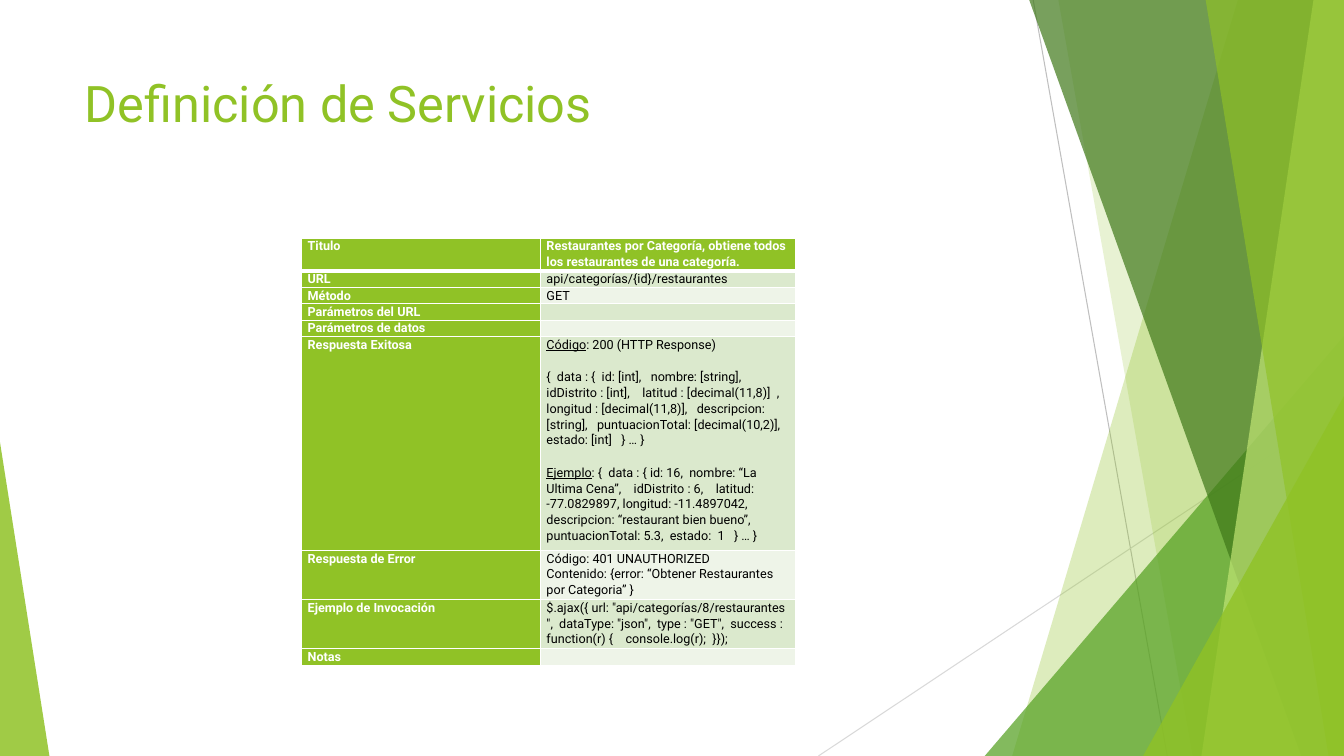
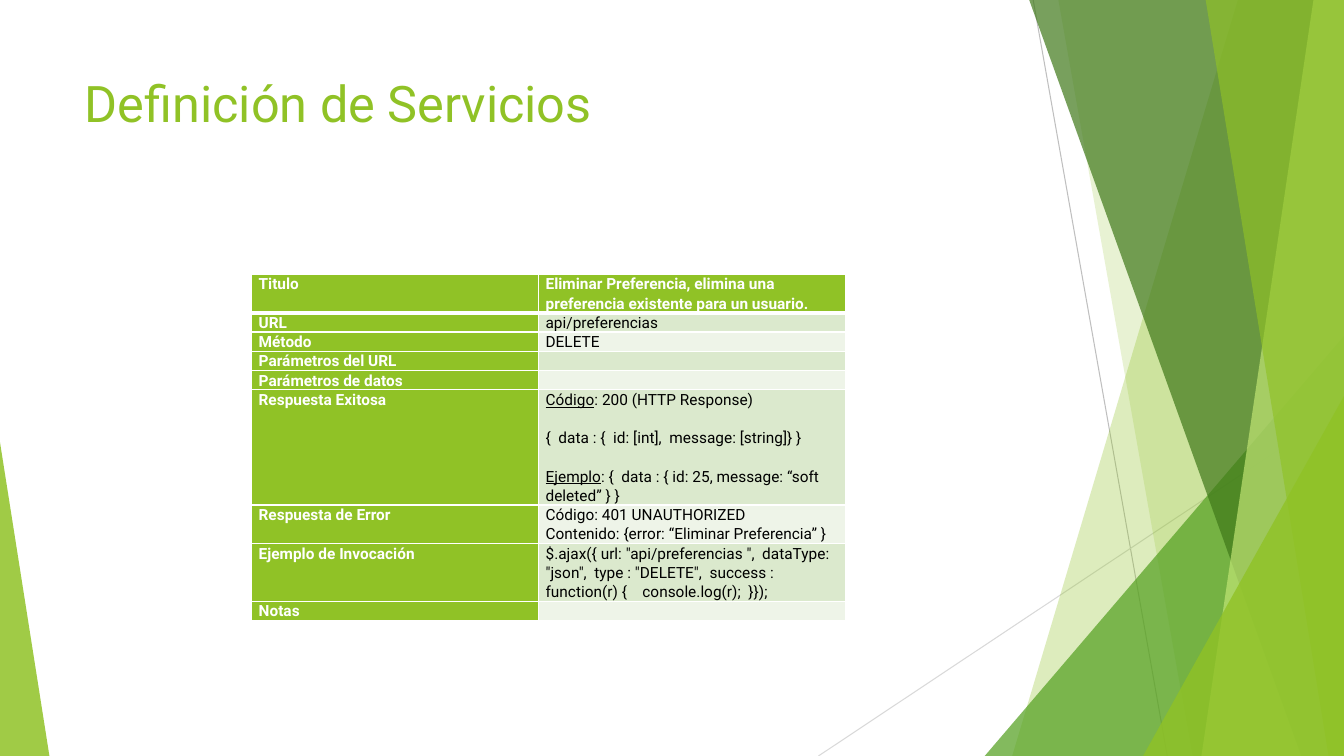
from dataclasses import dataclass

from lxml import etree
from pptx import Presentation
from pptx.dml.color import RGBColor
from pptx.enum.shapes import MSO_CONNECTOR as Connector, MSO_SHAPE as Shape
from pptx.enum.text import MSO_ANCHOR as Anchor, PP_ALIGN as Align
from pptx.oxml.ns import qn
from pptx.util import Pt


@dataclass(frozen=True)
class Theme:
    font: str = "Roboto"
    title_size: float = 36
    line_spacing: float = 1.07
    green: str = "90C226"
    leaf: str = "54A021"
    forest: str = "3F7819"
    lime: str = "C0E474"
    band_dark: str = "DBE9CD"
    band_light: str = "EEF4E8"
    white: str = "FFFFFF"
    black: str = "000000"
    gray: str = "BFBFBF"
    pale_gray: str = "D9D9D9"


@dataclass(frozen=True)
class TableStyle:
    left: float
    top: float
    columns: tuple
    size: float
    pitch: float  # height of one line of text
    inset: float


@dataclass(frozen=True)
class Service:
    """Cell texts are lists of paragraphs; a pair is an underlined label and its text."""
    title: str
    url: str
    method: str
    success: list
    error: list
    call: str
    line_counts: tuple


THEME = Theme()
WIDTH, HEIGHT = 960, 540
HEADING = "Definición de Servicios"
LABELS = ("Titulo", "URL", "Método", "Parámetros del URL", "Parámetros de datos",
          "Respuesta Exitosa", "Respuesta de Error", "Ejemplo de Invocación", "Notas")
SUCCESS_ROW = LABELS.index("Respuesta Exitosa")

CATEGORY_SERVICE = Service(
    title="Restaurantes por Categoría, obtiene todos los restaurantes de una categoría.",
    url="api/categorías/{id}/restaurantes",
    method="GET",
    success=[
        ("Código", ": 200 (HTTP Response)"),
        "{  data : {  id: [int],   nombre: [string],    idDistrito : [int],    "
        "latitud : [decimal(11,8)]  , longitud : [decimal(11,8)],   descripcion: [string],   "
        "puntuacionTotal: [decimal(10,2)], estado: [int]   } … }",
        ("Ejemplo", ": {  data : { id: 16,  nombre: “La Ultima Cena”,    idDistrito : 6,    "
         "latitud: -77.0829897, longitud: -11.4897042,   descripcion: “restaurant bien bueno”,   "
         "puntuacionTotal: 5.3,  estado:  1   } … }"),
    ],
    error=["Código: 401 UNAUTHORIZED",
           "Contenido: {error: “Obtener Restaurantes por Categoria” }"],
    call='$.ajax({ url: "api/categorías/8/restaurantes ",  dataType: "json",  type : "GET",  '
         "success : function(r) {    console.log(r);  }});",
    line_counts=(2, 1, 1, 1, 1, 13, 3, 3, 1),
)
PREFERENCE_SERVICE = Service(
    title="Eliminar Preferencia, elimina una preferencia existente para un usuario.",
    url="api/preferencias",
    method="DELETE",
    success=[
        ("Código", ": 200 (HTTP Response)"),
        "{  data : {  id: [int],  message: [string]} }",
        ("Ejemplo", ": {  data : { id: 25, message: “soft deleted” } }"),
    ],
    error=["Código: 401 UNAUTHORIZED", "Contenido: {error: “Eliminar Preferencia” }"],
    call='$.ajax({ url: "api/preferencias ",  dataType: "json",  type : "DELETE",  '
         "success : function(r) {    console.log(r);  }});",
    line_counts=(2, 1, 1, 1, 1, 6, 2, 3, 1),
)


def color(code):
    return RGBColor.from_string(code)


def paint(shape, code, opacity):
    """Fill a shape with a translucent colour, without outline or shadow."""
    shape.shadow.inherit = False
    shape.line.fill.background()
    shape.fill.solid()
    shape.fill.fore_color.rgb = color(code)
    tint = shape.fill._xPr.find(".//" + qn("a:srgbClr"))
    etree.SubElement(tint, qn("a:alpha"), val=str(opacity * 1000))


def add_ray(shapes, start, end, code):
    ray = shapes.add_connector(Connector.STRAIGHT, *map(Pt, start + end))
    ray.line.color.rgb = color(code)
    ray.line.width = Pt(0.75)
    etree.SubElement(ray.element.spPr, qn("a:effectLst"))
    return ray


def add_panel(shapes, top_x, bottom_x, code, opacity):
    """Full-height panel with a slanted left edge, reaching the right slide edge."""
    builder = shapes.build_freeform(Pt(top_x), 0)
    corners = ((WIDTH, 0), (WIDTH, HEIGHT), (bottom_x, HEIGHT))
    builder.add_line_segments([(Pt(x), Pt(y)) for x, y in corners], close=True)
    panel = builder.convert_to_shape()
    paint(panel, code, opacity)
    return panel


def add_corner(shapes, left, top, width, apex, code, opacity):
    """Right triangle standing on the bottom slide edge."""
    corner = shapes.add_shape(Shape.ISOSCELES_TRIANGLE, Pt(left), Pt(top),
                              Pt(width), Pt(HEIGHT - top))
    corner.adjustments[0] = apex
    paint(corner, code, opacity)
    return corner


def decorate_layout(layout, shapes):
    """Draw the shared decoration with a slide's shapes and move it to the layout."""
    decoration = [
        add_ray(shapes, (738, 0), (833.8, HEIGHT), THEME.gray),
        add_ray(shapes, (WIDTH, 290.2), (584.6, HEIGHT), THEME.pale_gray),
        add_panel(shapes, 884.2, 723, THEME.green, 30),
        add_panel(shapes, 756, 851.8, THEME.green, 20),
        add_corner(shapes, 703.4, 240, WIDTH - 703.4, 1, THEME.leaf, 72),
        add_panel(shapes, 735.2, 929.5, THEME.forest, 70),
        add_panel(shapes, 938.2, 858.2, THEME.lime, 70),
        add_panel(shapes, 861.2, 949, THEME.green, 65),
        add_corner(shapes, 816.5, 283, WIDTH - 816.5, 1, THEME.green, 80),
        add_corner(shapes, 0, 316, 35.3, 0, THEME.green, 85),
    ]
    for index, shape in enumerate(decoration, start=2):
        layout.shapes.element.insert(index, shape.element)


def set_title(slide):
    title = slide.shapes.title
    title.left, title.top, title.width, title.height = map(Pt, (53.3, 48, 676.8, 104))
    title.text_frame.text = HEADING
    title.text_frame.vertical_anchor = Anchor.TOP
    paragraph = title.text_frame.paragraphs[0]
    paragraph.alignment = Align.LEFT
    paragraph.font.name = THEME.font
    paragraph.font.size = Pt(THEME.title_size)
    paragraph.font.color.rgb = color(THEME.green)


def set_borders(cell, bottom_width):
    properties = cell._tc.get_or_add_tcPr()
    for side, width in (("L", 1), ("R", 1), ("T", 1), ("B", bottom_width)):
        border = etree.SubElement(properties, qn(f"a:ln{side}"), w=str(Pt(width)))
        fill = etree.SubElement(border, qn("a:solidFill"))
        etree.SubElement(fill, qn("a:srgbClr"), val=THEME.white)


def fill_cell(cell, paragraphs, style, strong, band, gap=0, bottom_width=1):
    set_borders(cell, bottom_width)
    cell.fill.solid()
    cell.fill.fore_color.rgb = color(THEME.green if strong else band)
    cell.margin_left = cell.margin_right = Pt(style.inset)
    cell.margin_top = cell.margin_bottom = 0
    frame = cell.text_frame
    for index, content in enumerate(paragraphs):
        paragraph = frame.add_paragraph() if index else frame.paragraphs[0]
        paragraph.line_spacing = THEME.line_spacing
        paragraph.space_before = Pt(gap if index else 0)
        font = paragraph.font
        font.name, font.size, font.bold = THEME.font, Pt(style.size), strong
        font.color.rgb = color(THEME.white if strong else THEME.black)
        label, text = content if isinstance(content, tuple) else ("", content)
        if label:
            run = paragraph.add_run()
            run.text = label
            run.font.underline = True
        if text:
            paragraph.add_run().text = text
        else:
            etree.SubElement(paragraph._p, qn("a:endParaRPr"), sz=str(int(style.size * 100)))


def add_service_table(slide, service, style):
    values = ([service.title], [service.url], [service.method], [""], [""],
              service.success, service.error, [service.call], [""])
    heights = [lines * style.pitch for lines in service.line_counts]
    table = slide.shapes.add_table(len(LABELS), len(style.columns), Pt(style.left), Pt(style.top),
                                   Pt(sum(style.columns)), Pt(sum(heights))).table
    table.first_row = table.horz_banding = False
    for column, width in zip(table.columns, style.columns):
        column.width = Pt(width)
    for index, (label, value) in enumerate(zip(LABELS, values)):
        table.rows[index].height = Pt(heights[index])
        band = THEME.band_dark if index % 2 else THEME.band_light
        gap = style.pitch if index == SUCCESS_ROW else 0
        bottom_width = 1 if index else 3
        for column, paragraphs in enumerate(([label], value)):
            fill_cell(table.cell(index, column), paragraphs, style,
                      strong=index == 0 or column == 0, band=band,
                      gap=gap, bottom_width=bottom_width)


def main():
    presentation = Presentation()
    presentation.slide_width, presentation.slide_height = Pt(WIDTH), Pt(HEIGHT)
    layout = presentation.slide_layouts.get_by_name("Title Only")
    pages = (
        (CATEGORY_SERVICE, TableStyle(215.3, 170, (170.6, 182.4), 9, 11.74, 4.5)),
        (PREFERENCE_SERVICE, TableStyle(179.5, 196, (205, 219.6), 11, 13.7, 5.3)),
    )
    for index, (service, style) in enumerate(pages):
        slide = presentation.slides.add_slide(layout)
        if index == 0:
            decorate_layout(layout, slide.shapes)
        set_title(slide)
        add_service_table(slide, service, style)
    presentation.save("out.pptx")


if __name__ == "__main__":
    main()
